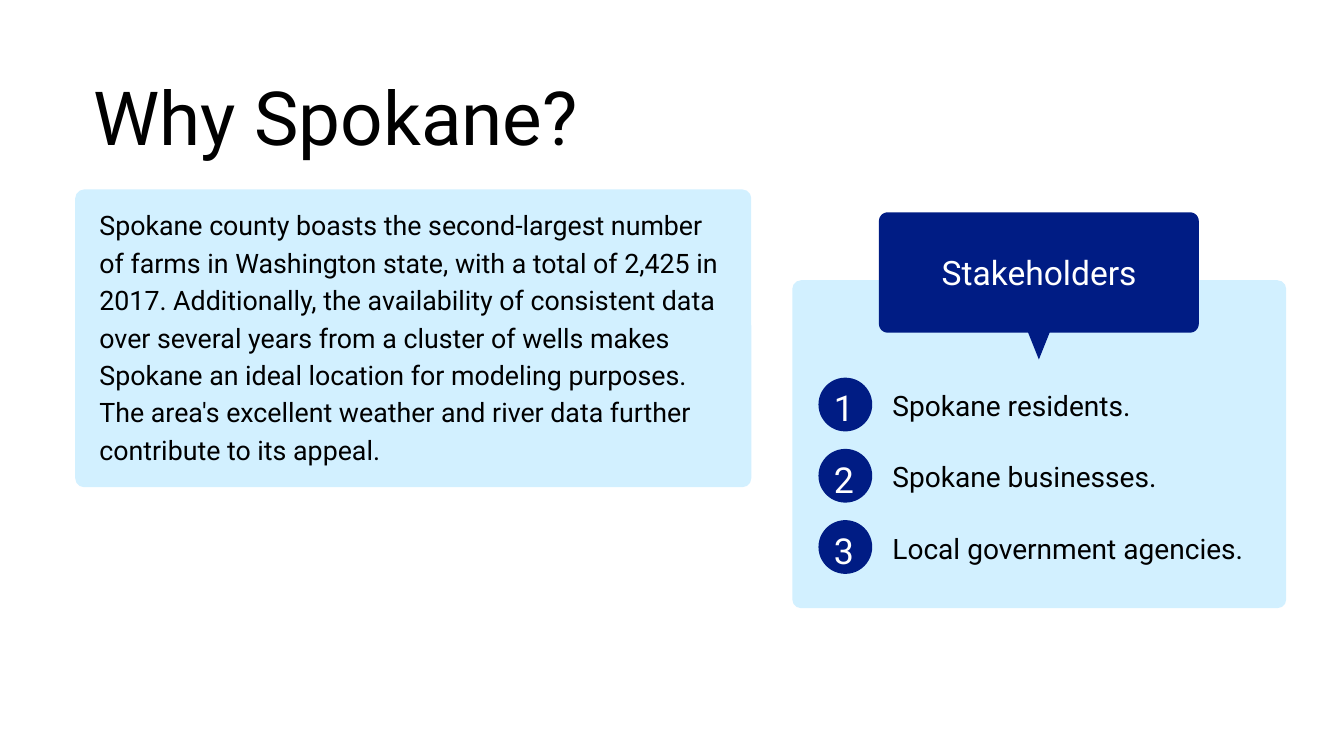
from math import cos, radians, sin

from pptx import Presentation
from pptx.dml.color import RGBColor
from pptx.enum.shapes import MSO_SHAPE
from pptx.enum.text import PP_ALIGN
from pptx.util import Inches, Pt

FONT = "Roboto"
NAVY, SKY, BLACK, WHITE = "001C84", "D2F0FF", "000000", "FFFFFF"
CORNER = 0.13
STAKEHOLDERS = ["Spokane residents.", "Spokane businesses.", "Local government agencies."]
REASONS = (
    "Spokane county boasts the second-largest number of farms in Washington state, "
    "with a total of 2,425 in 2017. Additionally, the availability of consistent data "
    "over several years from a cluster of wells makes Spokane an ideal location for "
    "modeling purposes. The area's excellent weather and river data further contribute "
    "to its appeal."
)


def rgb(color):
    return RGBColor.from_string(color)


def paint(shape, color):
    shape.shadow.inherit = False
    shape.fill.solid()
    shape.fill.fore_color.rgb = rgb(color)
    shape.line.fill.background()


def add_filled(slide, preset, left, top, width, height, color):
    shape = slide.shapes.add_shape(
        preset, Inches(left), Inches(top), Inches(width), Inches(height))
    paint(shape, color)
    return shape


def add_panel(slide, left, top, width, height):
    panel = add_filled(slide, MSO_SHAPE.ROUNDED_RECTANGLE, left, top, width, height, SKY)
    panel.adjustments[0] = CORNER / min(width, height)


def add_callout(slide, left, top, width, height, tail_width, tail_height):
    """Rounded box with a small tail below the middle of its bottom side."""
    right, bottom, middle = left + width, top + height, left + width / 2
    corners = [
        (left + CORNER, top + CORNER, 180),
        (right - CORNER, top + CORNER, 270),
        (right - CORNER, bottom - CORNER, 0),
        (left + CORNER, bottom - CORNER, 90),
    ]
    arcs = [
        [(x + CORNER * cos(radians(start + turn)), y + CORNER * sin(radians(start + turn)))
         for turn in range(0, 91, 10)]
        for x, y, start in corners
    ]
    tail = [(middle + tail_width / 2, bottom), (middle, bottom + tail_height),
            (middle - tail_width / 2, bottom)]
    outline = [(Inches(x), Inches(y))
               for x, y in arcs[0] + arcs[1] + arcs[2] + tail + arcs[3]]
    builder = slide.shapes.build_freeform(*outline[0])
    builder.add_line_segments(outline[1:], close=True)
    paint(builder.convert_to_shape(), NAVY)


def add_text(slide, text, left, top, width, height, size, spacing, color=BLACK,
             align=PP_ALIGN.LEFT):
    box = slide.shapes.add_textbox(Inches(left), Inches(top), Inches(width), Inches(height))
    frame = box.text_frame
    frame.word_wrap = True
    frame.margin_left = frame.margin_top = frame.margin_right = frame.margin_bottom = 0
    frame.text = text
    paragraph = frame.paragraphs[0]
    paragraph.alignment = align
    paragraph.line_spacing = Pt(spacing)
    font = paragraph.runs[0].font
    font.name = FONT
    font.size = Pt(size)
    font.color.rgb = rgb(color)


def add_stakeholder(slide, number, name, top):
    add_filled(slide, MSO_SHAPE.OVAL, 12.18, top, 0.8, 0.8, NAVY)
    add_text(slide, str(number), 12.31, top + 0.02, 0.5, 0.7, 38.3, 53.6, WHITE,
             PP_ALIGN.CENTER)
    add_text(slide, name, 13.28, top + 0.08, 5.85, 0.57, 30.1, 42.1)


def main():
    presentation = Presentation()
    presentation.slide_width = Inches(20)
    presentation.slide_height = Inches(11.25)
    slide = presentation.slides.add_slide(presentation.slide_layouts[6])

    add_text(slide, "Why Spokane?", 1.39, 1.16, 8.18, 1.25, 80, 88)
    add_panel(slide, 1.12, 2.82, 10.06, 4.43)
    add_text(slide, REASONS, 1.48, 3.03, 9.26, 3.85, 28.7, 40.1)

    add_panel(slide, 11.79, 4.17, 7.35, 4.88)
    add_callout(slide, 13.08, 3.16, 4.76, 1.79, 0.32, 0.4)
    add_text(slide, "Stakeholders", 13.43, 3.65, 4.07, 0.65, 36, 50.4, WHITE,
             PP_ALIGN.CENTER)
    for index, name in enumerate(STAKEHOLDERS):
        add_stakeholder(slide, index + 1, name, 5.62 + 1.06 * index)

    presentation.save("out.pptx")


if __name__ == "__main__":
    main()
